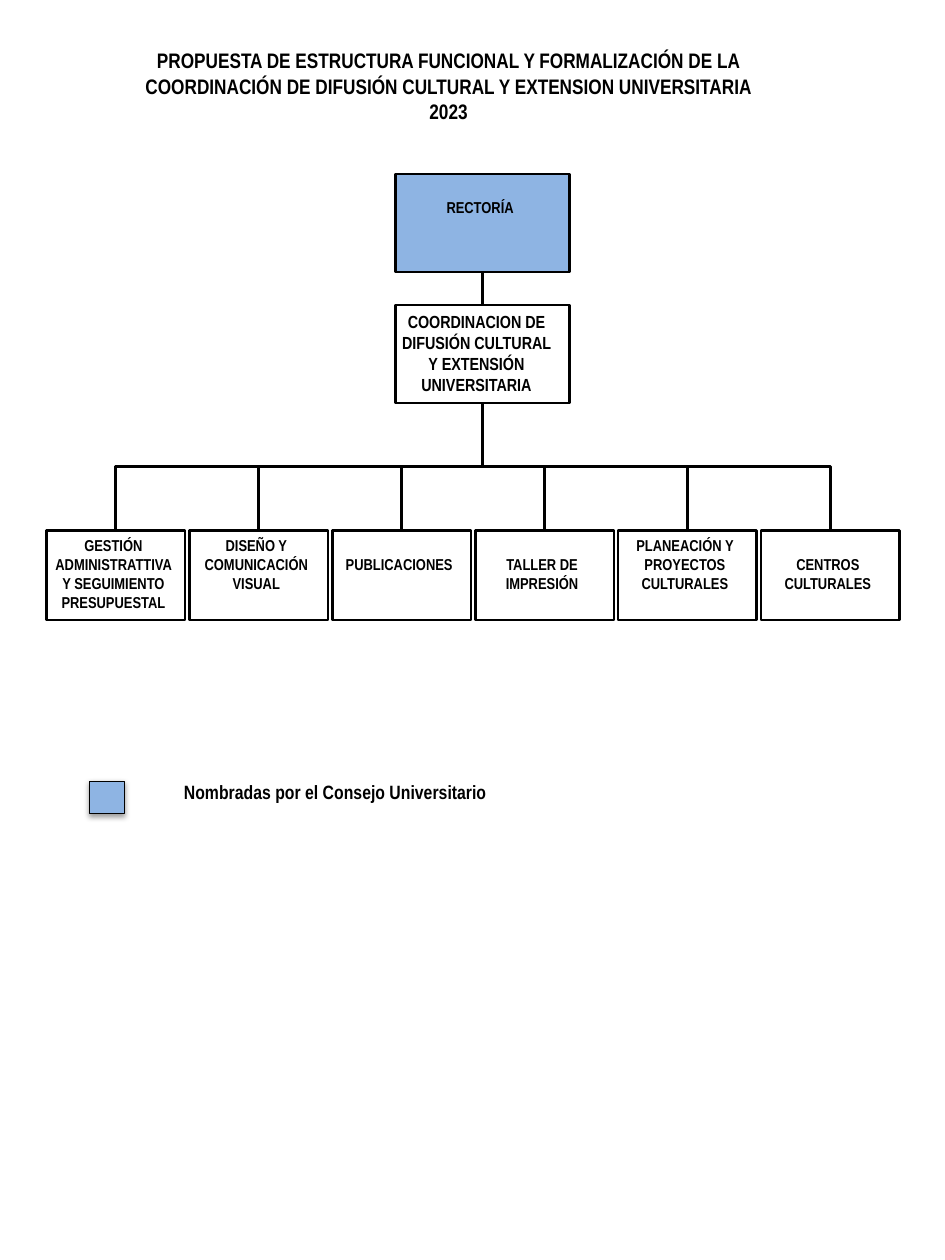
from pptx import Presentation
from pptx.dml.color import RGBColor
from pptx.enum.shapes import MSO_CONNECTOR, MSO_SHAPE
from pptx.enum.text import MSO_ANCHOR, MSO_AUTO_SIZE, PP_ALIGN
from pptx.oxml import parse_xml
from pptx.oxml.ns import nsdecls, qn
from pptx.util import Inches, Pt
from lxml.etree import SubElement

# Content
TITLE = ("PROPUESTA DE ESTRUCTURA FUNCIONAL Y FORMALIZACIÓN DE LA "
         "COORDINACIÓN DE DIFUSIÓN CULTURAL Y EXTENSION UNIVERSITARIA 2023")
HEAD = "RECTORÍA"
OFFICE = "COORDINACION DE DIFUSIÓN CULTURAL Y EXTENSIÓN UNIVERSITARIA"
# Each area: name, lines left free above it
AREAS = [
    ("GESTIÓN ADMINISTRATTIVA Y SEGUIMIENTO PRESUPUESTAL", 0),
    ("DISEÑO Y COMUNICACIÓN VISUAL", 0),
    ("PUBLICACIONES", 1),
    ("TALLER DE IMPRESIÓN", 1),
    ("PLANEACIÓN Y PROYECTOS CULTURALES", 0),
    ("CENTROS CULTURALES", 1),
]
LEGEND = "Nombradas por el Consejo Universitario"

THEME = {
    "font": "Arial Narrow",
    "ink": RGBColor(0x00, 0x00, 0x00),
    "blue": RGBColor(0x8E, 0xB4, 0xE3),
    "title": 12, "legend": 11, "office": 10, "area": 9,
    "edge": 1.5, "link": 1.75, "thin": 0.75,
}
LINE = 0.15  # height of one line of area text
PAD = (0.04, 0.04, 0.08, 0.04)

# Places: left, top, width, height
TITLE_AT = (1.05, 0.33, 5.02, 0.71)
HEAD_AT = (3.14, 1.38, 1.38, 0.78)
OFFICE_AT = (3.14, 2.42, 1.38, 0.78)
KEY_AT = (0.71, 6.2, 0.28, 0.26)
LEGEND_AT = (1.46, 6.1, 2.84, 0.44)
FIRST, LAST, ROW, WIDE, HIGH = 0.37, 6.04, 4.21, 1.1, 0.71


def write(shape, text, size, pad, align=PP_ALIGN.CENTER):
    frame = shape.text_frame
    frame.word_wrap = True
    frame.vertical_anchor = MSO_ANCHOR.TOP
    (frame.margin_left, frame.margin_top,
     frame.margin_right, frame.margin_bottom) = map(Inches, pad)
    para = frame.paragraphs[0]
    para.alignment = align
    run = para.add_run()
    run.text = text
    font = run.font
    font.name, font.size, font.bold = THEME["font"], Pt(size), True
    font.color.rgb = THEME["ink"]
    return frame


def box(kind, at, edge, fill=None):
    shape = slide.shapes.add_shape(kind, *map(Inches, at))
    shape.shadow.inherit = False
    if fill is None:
        shape.fill.background()
    else:
        shape.fill.solid()
        shape.fill.fore_color.rgb = fill
    shape.line.color.rgb = THEME["ink"]
    shape.line.width = Pt(edge)
    return shape


def unit(text, at, free=0, fill=None):
    shape = box(MSO_SHAPE.FLOWCHART_PROCESS, at, THEME["edge"], fill)
    left, top, right, low = PAD
    write(shape, text, THEME["area"], (left, top + free * LINE, right, low))
    return shape


def link(kind, upper, lower):
    line = slide.shapes.add_connector(kind, 0, 0, 0, 0)
    line.begin_connect(upper, 2)
    line.end_connect(lower, 0)
    line.line.color.rgb = THEME["ink"]
    line.line.width = Pt(THEME["link"])
    SubElement(line._element.spPr, qn("a:effectLst"))
    return line


def branch(upper, lower):
    """Elbow that drops, runs sideways and drops again."""
    line = link(MSO_CONNECTOR.ELBOW, upper, lower)
    x1, y1, x2, y2 = line.begin_x, line.begin_y, line.end_x, line.end_y
    drop, run = y2 - y1, abs(x2 - x1)
    frame = line._element.spPr.find(qn("a:xfrm"))
    frame.attrib.clear()
    frame.set("rot", str((90 if x2 < x1 else 270) * 60000))
    if x2 > x1:
        frame.set("flipH", "1")
    line.left, line.top = (x1 + x2 - drop) // 2, (y1 + y2 - run) // 2
    line.width, line.height = drop, run


deck = Presentation()
deck.slide_width, deck.slide_height = Inches(7.5), Inches(10)
slide = deck.slides.add_slide(deck.slide_layouts[5])

# Title
title = slide.shapes.title
title.left, title.top, title.width, title.height = map(Inches, TITLE_AT)
frame = write(title, TITLE, THEME["title"], (0.1, 0.05, 0.1, 0.05))
frame.auto_size = MSO_AUTO_SIZE.NONE

# Upper levels
head = unit(HEAD, HEAD_AT, 1, THEME["blue"])
office = box(MSO_SHAPE.RECTANGLE, OFFICE_AT, THEME["edge"])
write(office, OFFICE, THEME["office"], (0, 0.05, 0.1, 0.05))
link(MSO_CONNECTOR.STRAIGHT, head, office)

# Row of areas
step = (LAST - FIRST) / (len(AREAS) - 1)
for i, (name, free) in enumerate(AREAS):
    area = unit(name, (FIRST + i * step, ROW, WIDE, HIGH), free)
    branch(office, area)

# Legend
key = box(MSO_SHAPE.RECTANGLE, KEY_AT, THEME["thin"], THEME["blue"])
glow = key._element.spPr.find(qn("a:effectLst"))
glow.append(parse_xml(
    f'<a:outerShdw {nsdecls("a")} blurRad="{Pt(3.1)}" dist="{Pt(1.6)}" '
    'dir="5400000" rotWithShape="0"><a:srgbClr val="000000">'
    '<a:alpha val="38000"/></a:srgbClr></a:outerShdw>'))
note = slide.shapes.add_textbox(*map(Inches, LEGEND_AT))
write(note, LEGEND, THEME["legend"], (0, 0.12, 0.25, 0.12), PP_ALIGN.LEFT)

deck.save("out.pptx")
